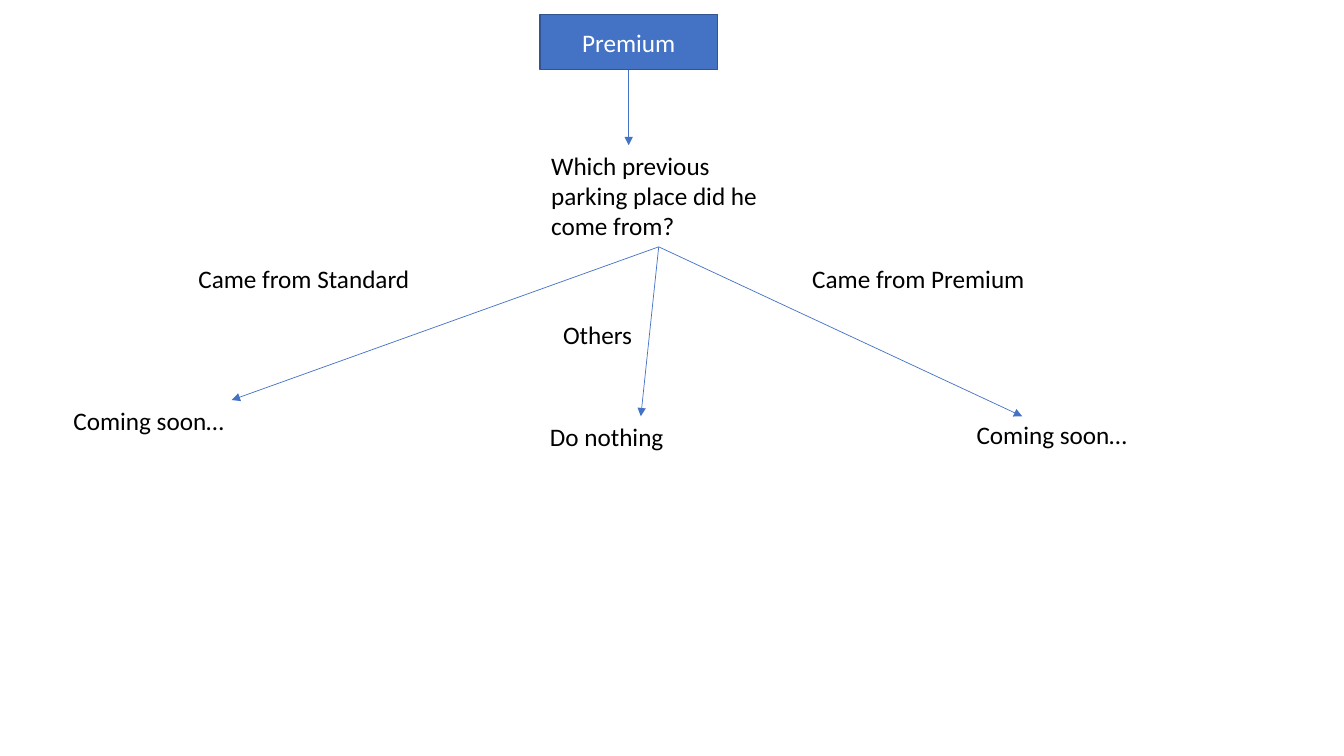
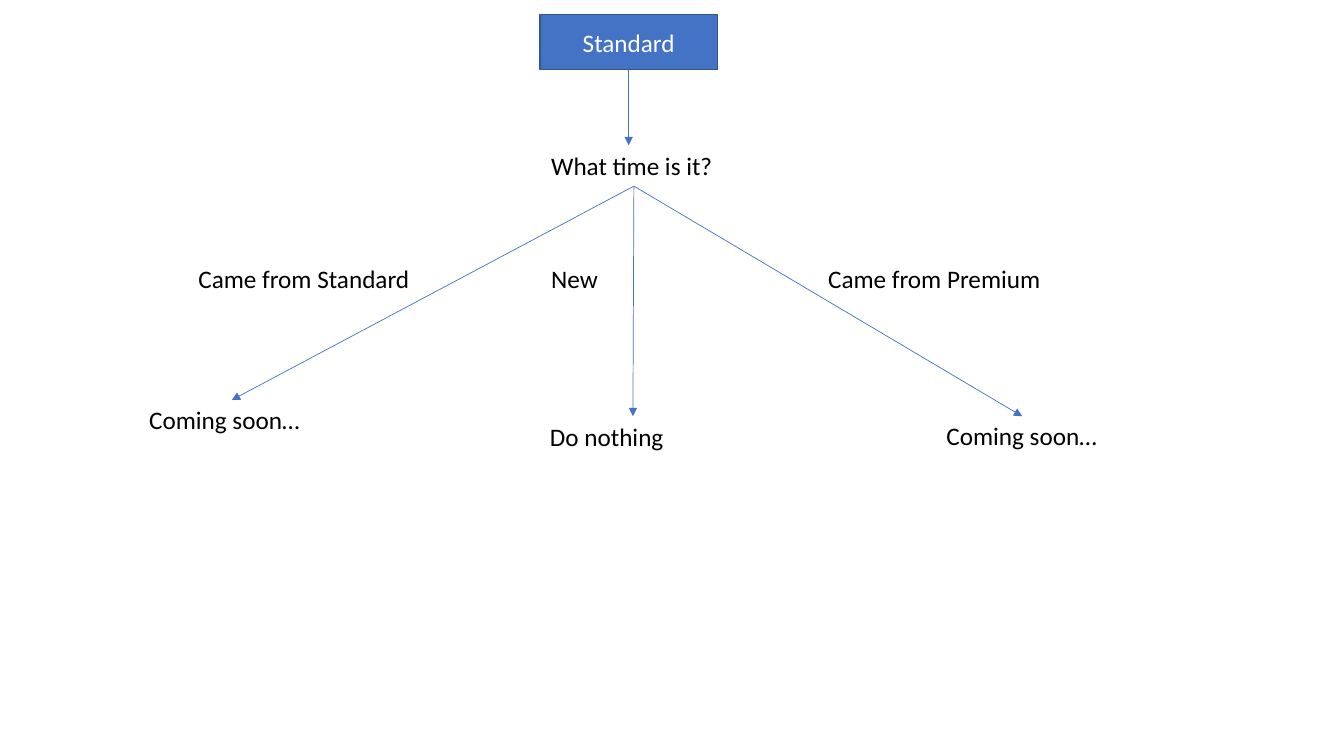
import dataclasses

import lxml.etree
import pptx
import pptx.dml.color
import pptx.enum.dml
import pptx.enum.shapes
import pptx.enum.text
import pptx.oxml.ns
import pptx.slide
import pptx.text.text
import pptx.util

Cm = pptx.util.Cm
Pt = pptx.util.Pt
Rgb = pptx.dml.color.RGBColor

# Shared look, lengths in centimetres
BLUE = Rgb(0x44, 0x72, 0xC4)
NAVY = Rgb(0x32, 0x54, 0x91)
BLACK = Rgb(0, 0, 0)
WHITE = Rgb(255, 255, 255)
FONT = "Calibri"
SIZE = 18
ROW = 1.03  # height of a one-line text
HEAD = (13.61, 0.36, 4.47, 1.4)  # left, top, width, height
ASK = (13.64, 3.66)  # left, top of the question

Point = tuple[float, float]


@dataclasses.dataclass(frozen=True)
class Label:
    text: str
    left: float
    top: float
    width: float
    height: float = ROW


@dataclasses.dataclass(frozen=True)
class Branch:
    tip: Point
    answer: Label
    result: Label


@dataclasses.dataclass(frozen=True)
class Tree:
    title: str
    ask: Label
    branches: tuple[Branch, ...]


# Content
LEFT_TIP = (5.84, 10.08)
RIGHT_TIP = (25.76, 10.49)
SOON = "Coming soon…"
NONE = "Do nothing"
OLD = Label("Came from Standard", 4.75, 6.5, 6.15)

TREES = (
    Tree(
        "Premium",
        Label("Which previous parking place did he come from?", *ASK, 5.92, 2.56),
        (
            Branch(LEFT_TIP, OLD, Label(SOON, 1.6, 10.08, 9.47)),
            Branch((16.15, 10.49), Label("Others", 13.94, 7.92, 2.44),
                   Label(NONE, 13.61, 10.49, 5.11)),
            Branch(RIGHT_TIP, Label("Came from Premium", 20.22, 6.5, 5.92),
                   Label(SOON, 24.36, 10.44, 5.11)),
        ),
    ),
    Tree(
        "Standard",
        Label("What time is it?", *ASK, 4.67),
        (
            Branch(LEFT_TIP, OLD, Label(SOON, 3.51, 10.06, 5.08)),
            Branch((15.95, 10.49), Label("New", 13.64, 6.5, 2.44),
                   Label(NONE, 13.61, 10.49, 4.7)),
            Branch(RIGHT_TIP, Label("Came from Premium", 20.62, 6.5, 5.92),
                   Label(SOON, 23.6, 10.46, 9.8)),
        ),
    ),
)


# Drawing functions
def write(frame: pptx.text.text.TextFrame, text: str, color: Rgb) -> None:
    frame.word_wrap = True
    frame.text = text
    font = frame.paragraphs[0].font
    font.name = FONT
    font.size = Pt(SIZE)
    font.color.rgb = color


def add_head(slide: pptx.slide.Slide, text: str) -> None:
    box = slide.shapes.add_shape(
        pptx.enum.shapes.MSO_SHAPE.RECTANGLE, *map(Cm, HEAD))
    box.shadow.inherit = False
    box.fill.solid()
    box.fill.fore_color.rgb = BLUE
    box.line.color.rgb = NAVY
    box.line.width = Pt(1)
    write(box.text_frame, text, WHITE)
    box.text_frame.vertical_anchor = pptx.enum.text.MSO_ANCHOR.MIDDLE
    box.text_frame.paragraphs[0].alignment = pptx.enum.text.PP_ALIGN.CENTER


def add_label(slide: pptx.slide.Slide, label: Label) -> None:
    box = slide.shapes.add_textbox(
        Cm(label.left), Cm(label.top), Cm(label.width), Cm(label.height))
    write(box.text_frame, label.text, BLACK)
    box.text_frame.auto_size = pptx.enum.text.MSO_AUTO_SIZE.SHAPE_TO_FIT_TEXT


def add_arrow(slide: pptx.slide.Slide, start: Point, end: Point) -> None:
    arrow = slide.shapes.add_connector(
        pptx.enum.shapes.MSO_CONNECTOR.STRAIGHT, *map(Cm, start + end))
    arrow.line.color.rgb = BLUE
    arrow.line.width = Pt(0.5)
    props = arrow.element.spPr
    qn = pptx.oxml.ns.qn
    lxml.etree.SubElement(props.find(qn("a:ln")), qn("a:tailEnd"), type="triangle")
    lxml.etree.SubElement(props, qn("a:effectLst"))


def add_tree(slide: pptx.slide.Slide, tree: Tree) -> None:
    left, top, width, height = HEAD
    mid = left + width / 2
    ask = tree.ask
    fork = (ask.left + ask.width / 2, ask.top + ask.height)

    add_head(slide, tree.title)
    add_arrow(slide, (mid, top + height), (mid, ask.top))
    add_label(slide, ask)
    for branch in tree.branches:
        add_arrow(slide, fork, branch.tip)
    for branch in tree.branches:
        add_label(slide, branch.answer)
    for branch in tree.branches:
        add_label(slide, branch.result)


# Build the deck
deck = pptx.Presentation()
deck.slide_width = Cm(33.87)
deck.slide_height = Cm(19.05)
blank = deck.slide_layouts[6]
for tree in TREES:
    add_tree(deck.slides.add_slide(blank), tree)
deck.save("out.pptx")
